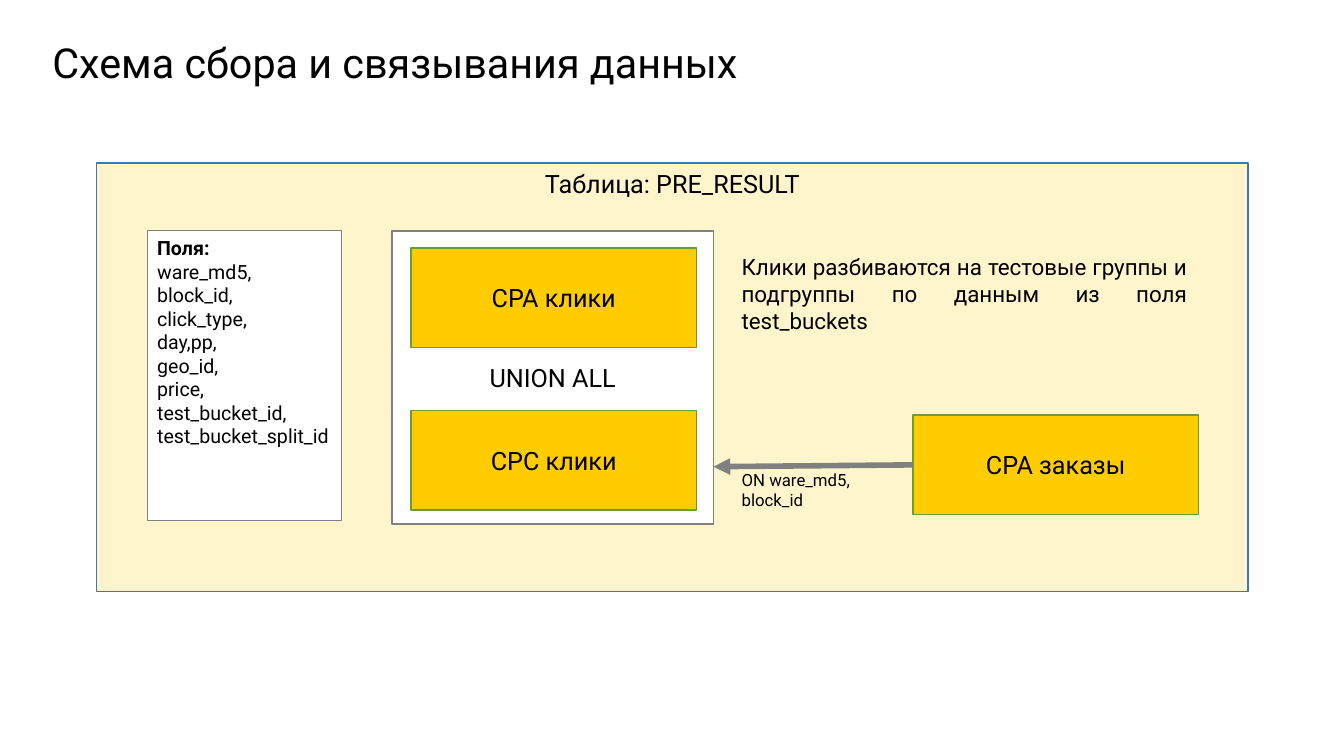
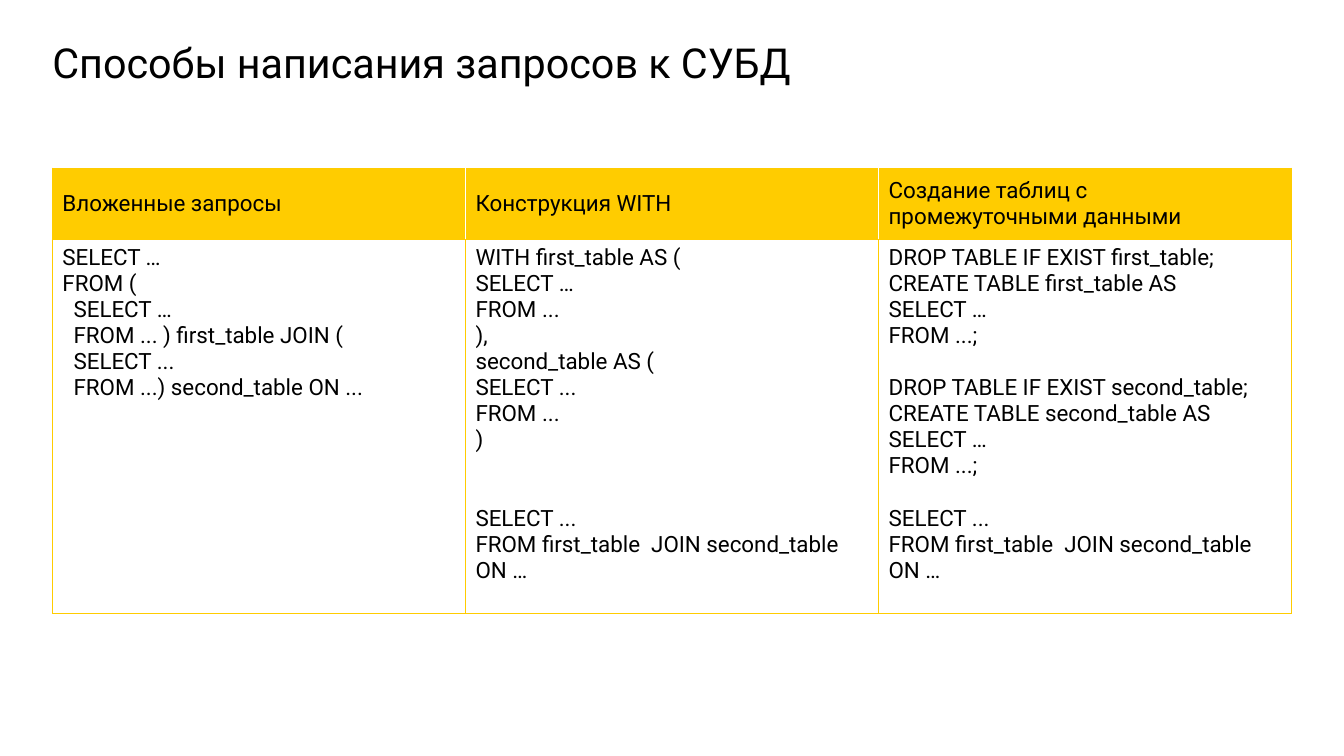
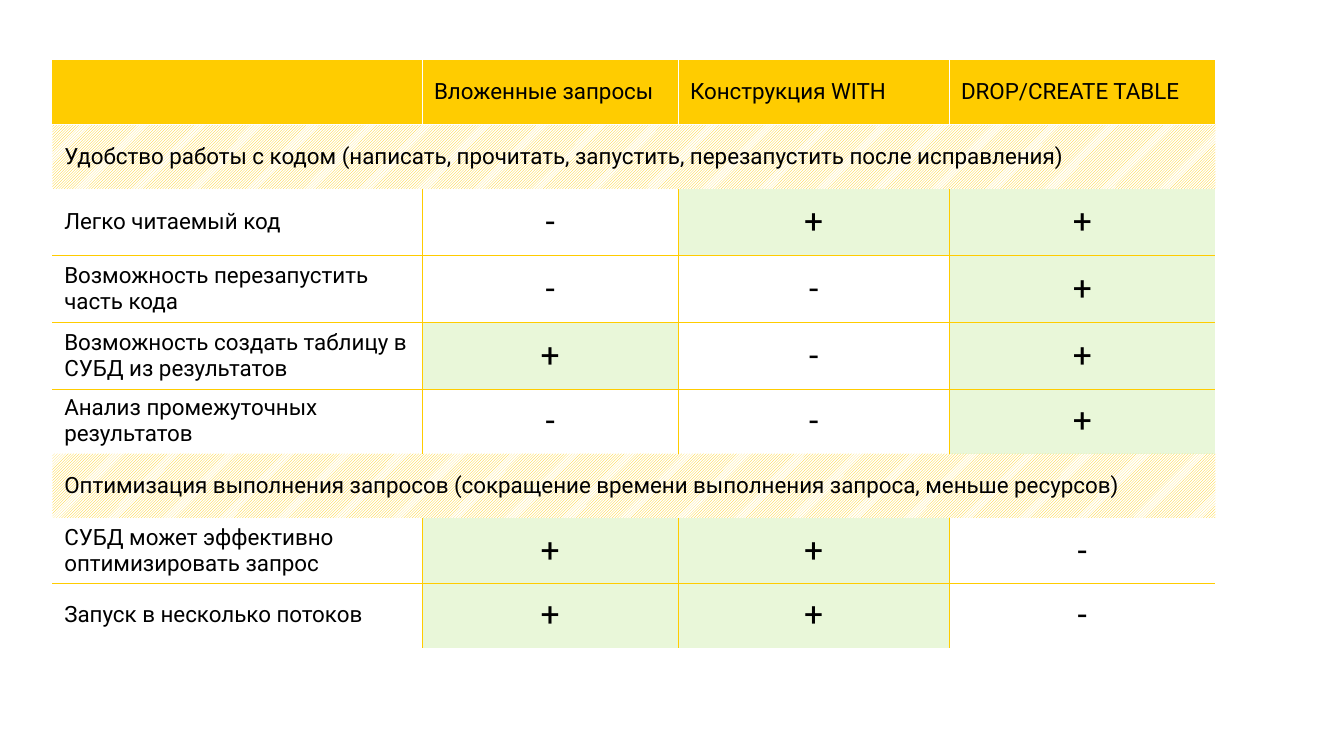
from lxml.etree import SubElement
from pptx import Presentation
from pptx.dml.color import RGBColor
from pptx.enum.dml import MSO_PATTERN
from pptx.enum.shapes import MSO_CONNECTOR, MSO_SHAPE
from pptx.enum.text import MSO_ANCHOR, PP_ALIGN
from pptx.oxml import parse_xml
from pptx.oxml.ns import nsdecls, qn
from pptx.util import Cm, Pt

FONT = "Roboto"
BLACK, WHITE, GREY = "000000", "FFFFFF", "808080"
YELLOW, CREAM, MINT = "FFCC00", "FFF5CC", "E9F7D9"
BLUE, GREEN = "3878BE", "6A9E30"
LEFT_EDGE = 1.32
LINE_16 = 18.75  # height of one line of 16 pt text, in points


def rgb(hex_color):
    return RGBColor.from_string(hex_color)


def write(frame, text, size=16, align=PP_ALIGN.LEFT, anchor=MSO_ANCHOR.TOP,
          insets=None, leading=None):
    """Fill a frame with one line or a list; a line may be (text, options)."""
    frame.word_wrap = True
    frame.vertical_anchor = anchor
    if insets:
        (frame.margin_left, frame.margin_top,
         frame.margin_right, frame.margin_bottom) = map(Cm, insets)
    lines = [text] if isinstance(text, str) else text
    for index, line in enumerate(lines):
        words, options = (line, {}) if isinstance(line, str) else line
        paragraph = frame.add_paragraph() if index else frame.paragraphs[0]
        paragraph.alignment = align
        if leading:
            paragraph.line_spacing = Pt(leading)
        if "before" in options:
            paragraph.space_before = Pt(options["before"])
        if "indent" in options:
            paragraph._p.get_or_add_pPr().set("marL", str(Cm(options["indent"])))
        run = paragraph.add_run()
        run.text = words
        run.font.name = FONT
        run.font.size = Pt(size)
        run.font.bold = options.get("bold", False)
        run.font.color.rgb = rgb(BLACK)


def set_borders(cell, width, **colors):
    """Draw the sides named in colors (L, R, T, B) and clear the others."""
    properties = cell._tc.get_or_add_tcPr()
    for position, side in enumerate("LRTB"):
        color = colors.get(side)
        paint = (f'<a:solidFill><a:srgbClr val="{color}"/></a:solidFill>'
                 if color else "<a:noFill/>")
        properties.insert(position, parse_xml(
            f'<a:ln{side} {nsdecls("a")} w="{Pt(width)}">{paint}</a:ln{side}>'))


def fill_cell(cell, color):
    cell.fill.solid()
    cell.fill.fore_color.rgb = rgb(color)


class Deck:
    def __init__(self):
        self.presentation = Presentation()
        self.presentation.slide_width = Cm(33.87)
        self.presentation.slide_height = Cm(19.05)
        self.slide = None

    def add_slide(self, title=None):
        self.slide = self.presentation.slides.add_slide(
            self.presentation.slide_layouts[6])
        if title:
            self.label(title, LEFT_EDGE, 0.69, 31.22, 2.03, size=29.5,
                       insets=(0, 0.3, 3, 0), leading=33.8)

    def label(self, text, left, top, width, height, **text_format):
        box = self.slide.shapes.add_textbox(
            Cm(left), Cm(top), Cm(width), Cm(height))
        write(box.text_frame, text, **text_format)

    def box(self, text, left, top, width, height, fill, line,
            line_width=1, **text_format):
        shape = self.slide.shapes.add_shape(
            MSO_SHAPE.RECTANGLE, Cm(left), Cm(top), Cm(width), Cm(height))
        shape.shadow.inherit = False
        shape.fill.solid()
        shape.fill.fore_color.rgb = rgb(fill)
        shape.line.color.rgb = rgb(line)
        shape.line.width = Pt(line_width)
        write(shape.text_frame, text, **text_format)
        return shape

    def arrow_from(self, source, side, end_x, end_y):
        arrow = self.slide.shapes.add_connector(
            MSO_CONNECTOR.STRAIGHT, source.left, source.top,
            Cm(end_x), Cm(end_y))
        arrow.begin_connect(source, side)
        arrow.line.color.rgb = rgb(GREY)
        arrow.line.width = Pt(4)
        SubElement(arrow.line._get_or_add_ln(), qn("a:tailEnd"), type="triangle")
        SubElement(arrow._element.spPr, qn("a:effectLst"))

    def table(self, top, widths, heights):
        table = self.slide.shapes.add_table(
            len(heights), len(widths), Cm(LEFT_EDGE), Cm(top),
            Cm(sum(widths)), Cm(sum(heights))).table
        for column, width in zip(table.columns, widths):
            column.width = Cm(width)
        for row, height in zip(table.rows, heights):
            row.height = Cm(height)
        return table


def add_data_scheme(deck):
    deck.add_slide("Схема сбора и связывания данных")
    centred = dict(size=18, align=PP_ALIGN.CENTER)
    middle = dict(centred, anchor=MSO_ANCHOR.MIDDLE)
    deck.box("Таблица: PRE_RESULT", 2.44, 4.11, 29.01, 10.8, CREAM, BLUE, **centred)
    deck.box("UNION ALL", 9.88, 5.82, 8.1, 7.39, WHITE, GREY, **middle)
    sources = [("CPA клики", 10.36, 6.25), ("CPC клики", 10.36, 10.34),
               ("CPA заказы", 23.01, 10.46)]
    for name, left, top in sources:
        orders = deck.box(name, left, top, 7.19, 2.51, YELLOW, GREEN, **middle)
    deck.arrow_from(orders, 1, 17.98, 11.76)
    deck.label("ON ware_md5, block_id", 18.44, 11.71, 4.55, 1.27, size=12)
    deck.label("Клики разбиваются на тестовые группы и подгруппы по данным "
               "из поля test_buckets", 18.44, 6.25, 11.73, 2.31,
               align=PP_ALIGN.JUSTIFY)
    fields = [("Поля:", {"bold": True}), "ware_md5,", "block_id,", "click_type,",
              "day,pp,", "geo_id,", "price,", "test_bucket_id,",
              "test_bucket_split_id"]
    deck.box(fields, 3.71, 5.82, 4.9, 7.29, WHITE, GREY, line_width=0.75, size=14)


def add_query_styles(deck):
    deck.add_slide("Способы написания запросов к СУБД")
    nested = {"indent": 0.28}
    after_gap = {"before": LINE_16}
    after_wide_gap = {"before": 2 * LINE_16}
    join = "FROM first_table  JOIN second_table ON …"
    styles = [
        ("Вложенные запросы",
         ["SELECT …", "FROM (", ("SELECT …", nested),
          ("FROM ... ) first_table JOIN (", nested), ("SELECT ...", nested),
          ("FROM ...) second_table ON ...", nested)]),
        ("Конструкция WITH",
         ["WITH first_table AS (", "SELECT …", "FROM ...", "),",
          "second_table AS (", "SELECT ...", "FROM ...", ")",
          ("SELECT ...", after_wide_gap), join]),
        ("Создание таблиц с промежуточными данными",
         ["DROP TABLE IF EXIST first_table;", "CREATE TABLE first_table AS",
          "SELECT …", "FROM ...;",
          ("DROP TABLE IF EXIST second_table;", after_gap),
          "CREATE TABLE second_table AS", "SELECT …", "FROM ...;",
          ("SELECT ...", after_gap), join]),
    ]
    table = deck.table(4.24, [10.41] * 3, [1.8, 9.42])
    last = len(styles) - 1
    for column, (heading, query) in enumerate(styles):
        head, body = table.cell(0, column), table.cell(1, column)
        write(head.text_frame, heading)
        head.vertical_anchor = MSO_ANCHOR.MIDDLE
        fill_cell(head, YELLOW)
        set_borders(head, 1, T=YELLOW, B=YELLOW,
                    L=WHITE if column else YELLOW,
                    R=WHITE if column < last else YELLOW)
        write(body.text_frame, query)
        fill_cell(body, WHITE)
        set_borders(body, 1, **dict.fromkeys("LRTB", YELLOW))


def add_comparison(deck):
    deck.add_slide()
    rows = [
        ("", "Вложенные запросы", "Конструкция WITH", "DROP/CREATE TABLE"),
        ("Удобство работы с кодом (написать, прочитать, запустить, "
         "перезапустить после исправления)",),
        ("Легко читаемый код", "-", "+", "+"),
        ("Возможность перезапустить часть кода", "-", "-", "+"),
        ("Возможность создать таблицу в СУБД из результатов", "+", "-", "+"),
        ("Анализ промежуточных результатов", "-", "-", "+"),
        ("Оптимизация выполнения запросов (сокращение времени выполнения "
         "запроса, меньше ресурсов)",),
        ("СУБД может эффективно оптимизировать запрос", "+", "+", "-"),
        ("Запуск в несколько потоков", "+", "+", "-"),
    ]
    heights = [1.68 if 2 <= index <= 4 else 1.63 for index in range(len(rows))]
    table = deck.table(1.5, [9.32, 6.45, 6.83, 6.71], heights)
    last = len(rows[0]) - 1

    def is_section(index):
        return index == len(rows) or len(rows[index]) == 1

    for index, row in enumerate(rows):
        if is_section(index):
            table.cell(index, 0).merge(table.cell(index, last))
        for column in range(last + 1):
            cell = table.cell(index, column)
            text = row[column] if column < len(row) else ""
            is_mark = text in ("+", "-")
            if text:
                write(cell.text_frame, text, size=24 if is_mark else 16,
                      align=PP_ALIGN.CENTER if is_mark else PP_ALIGN.LEFT)
            cell.vertical_anchor = MSO_ANCHOR.MIDDLE
            cell.margin_left = cell.margin_right = Cm(0.3)
            cell.margin_top = cell.margin_bottom = 0
            if is_section(index):
                cell.fill.patterned()
                cell.fill.pattern = MSO_PATTERN.DARK_UPWARD_DIAGONAL
                cell.fill.fore_color.rgb = rgb(YELLOW)
                cell.fill.back_color.rgb = rgb(WHITE)
                set_borders(cell, 0.5, T=WHITE if index == 1 else None)
                continue
            is_header = index == 0
            line = WHITE if is_header else YELLOW
            fill_cell(cell, YELLOW if is_header else MINT if text == "+" else WHITE)
            set_borders(
                cell, 0.5,
                L=line if column else None,
                R=line if column < last else None,
                T=line if not is_header and not is_section(index - 1) else None,
                B=line if is_header or not is_section(index + 1) else None)


def main():
    deck = Deck()
    add_data_scheme(deck)
    add_query_styles(deck)
    add_comparison(deck)
    deck.presentation.save("out.pptx")


if __name__ == "__main__":
    main()
